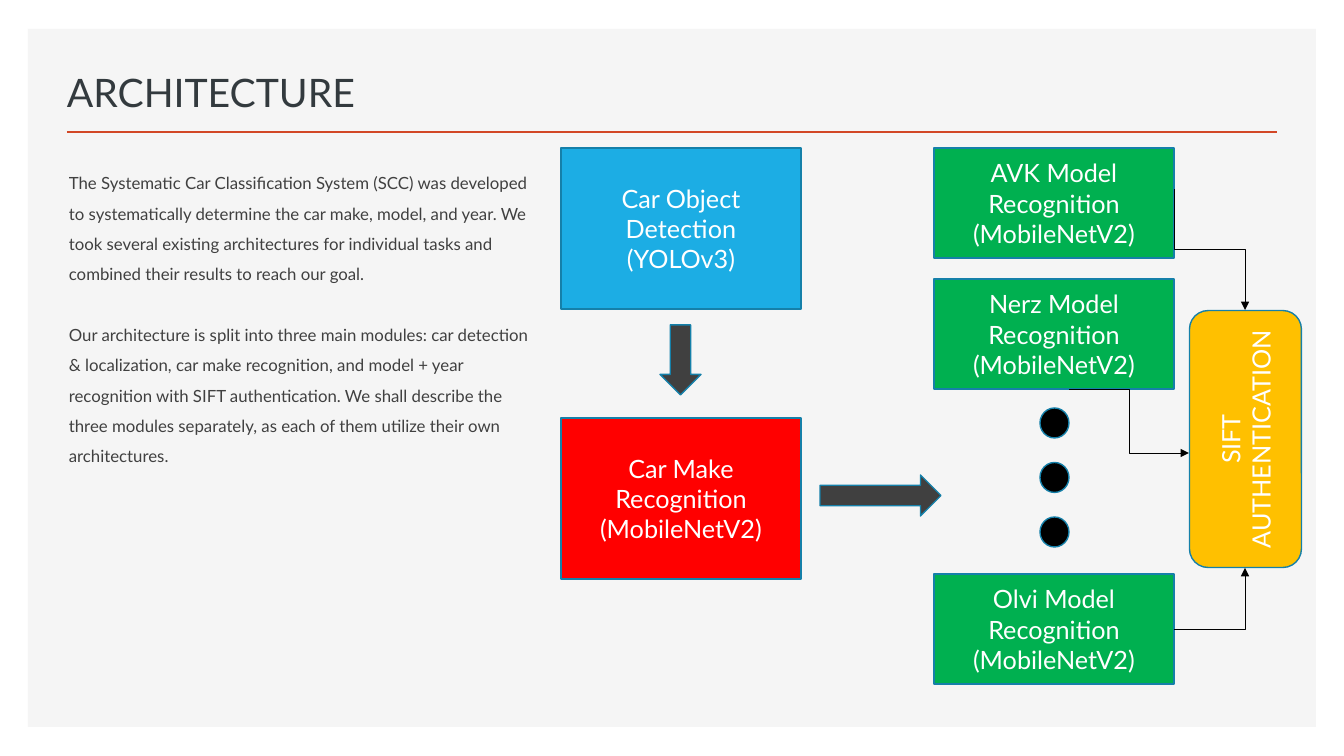
from dataclasses import dataclass
from lxml.etree import SubElement
from pptx import Presentation
from pptx.dml.color import RGBColor
from pptx.enum.shapes import MSO_CONNECTOR, MSO_SHAPE
from pptx.enum.text import MSO_ANCHOR, PP_ALIGN
from pptx.oxml.ns import qn
from pptx.util import Pt

# Content
TITLE = "ARCHITECTURE"
BODY = [
    "The Systematic Car Classification System (SCC) was developed to systematically "
    "determine the car make, model, and year. We took several existing architectures "
    "for individual tasks and combined their results to reach our goal.",
    "Our architecture is split into three main modules: car detection & localization, "
    "car make recognition, and model + year recognition with SIFT authentication. "
    "We shall describe the three modules separately, as each of them utilize their "
    "own architectures.",
]
NET = "(MobileNetV2)"
STEPS = [  # lines, top, fill
    (["Car Object Detection", "(YOLOv3)"], 148, "1CADE4"),
    (["Car Make Recognition", NET], 418, "FF0000"),
]
MODELS = [("AVK", 148), ("Nerz", 279), ("Olvi", 574)]  # make, top
SIFT = ["SIFT", "AUTHENTICATION"]
ARROWS = [(660, 325, 41, 70, 0), (860, 435, 41, 121, 270)]  # box, turn
WIRES = [  # from, to, preset, turned
    ((1174, 189), (1245, 310), "bentConnector3", True),
    ((1069, 389), (1189, 453), "bentConnector3", False),
    ((1174, 629), (1245, 568), "bentConnector2", False),
]


@dataclass(frozen=True)
class Theme:
    font: str = "Lato"
    panel: str = "F5F5F5"
    rule: str = "D24726"
    title: str = "333A3E"
    body: str = "404040"
    edge: str = "1580A9"
    arrow: str = "404040"
    model: str = "00B050"
    sift: str = "FFC000"
    dot: str = "000000"
    wire: str = "000000"
    light: str = "FFFFFF"
    big: int = 28
    label: int = 18
    small: int = 12


T = Theme()
SCALE = 914400 / 100.8


def px(*vals):
    return [round(v * SCALE) for v in vals]


def rgb(code):
    return RGBColor.from_string(code)


def write(frame, lines, size, color, align=PP_ALIGN.LEFT):
    frame.word_wrap = True
    for i, line in enumerate(lines):
        para = frame.paragraphs[0] if i == 0 else frame.add_paragraph()
        para.text = line
        para.alignment = align
        para.font.name = T.font
        para.font.size = Pt(size)
        para.font.color.rgb = rgb(color)


def shape(kind, box, fill, edge=T.edge, lines=(), turn=0):
    item = slide.shapes.add_shape(kind, *px(*box))
    item.shadow.inherit = False
    item.rotation = turn
    item.fill.solid()
    item.fill.fore_color.rgb = rgb(fill)
    if edge:
        item.line.color.rgb = rgb(edge)
        item.line.width = Pt(1)
    else:
        item.line.fill.background()
    item.text_frame.vertical_anchor = MSO_ANCHOR.MIDDLE
    write(item.text_frame, lines, T.label, T.light, PP_ALIGN.CENTER)


def link(kind, ends, color, width):
    item = slide.shapes.add_connector(kind, *px(*ends))
    item.line.color.rgb = rgb(color)
    item.line.width = Pt(width)
    SubElement(item._element.spPr, qn("a:effectLst"))
    return item


def wire(start, end, preset, turned):
    (x1, y1), (x2, y2) = start, end
    ends = (x1, y1, x2, y2)
    if turned:  # swap width and height around the same centre
        mx, my = (x1 + x2) / 2, (y1 + y2) / 2
        dx, dy = (y2 - y1) / 2, (x2 - x1) / 2
        ends = (mx + dx, my - dy, mx - dx, my + dy)
    item = link(MSO_CONNECTOR.ELBOW, ends, T.wire, 0.5)
    props = item._element.spPr
    props.find(qn("a:prstGeom")).set("prst", preset)
    if turned:
        props.find(qn("a:xfrm")).set("rot", str(270 * 60000))
    SubElement(props.find(qn("a:ln")), qn("a:tailEnd"), type="triangle")


def text(box, lines, size, color):
    frame = slide.shapes.add_textbox(*px(*box)).text_frame
    write(frame, lines, size, color)
    return frame


deck = Presentation()
deck.slide_width, deck.slide_height = px(1344, 756)
slide = deck.slides.add_slide(deck.slide_layouts[6])

# Panel, title and rule
shape(MSO_SHAPE.RECTANGLE, (28, 29, 1288, 698), T.panel, None)
link(MSO_CONNECTOR.STRAIGHT, (67, 132, 1277, 132), T.rule, 2)
head = text((57, 49, 758, 71), [TITLE], T.big, T.title)
head.vertical_anchor = MSO_ANCHOR.BOTTOM

# Body text
body = text((59, 158, 487, 438), BODY, T.small, T.body)
for i, para in enumerate(body.paragraphs):
    para.line_spacing = 1.5
    para.space_before = Pt(10 if i else 0)
    para.space_after = Pt(12)

# Flow boxes and block arrows
for lines, top, fill in STEPS:
    shape(MSO_SHAPE.RECTANGLE, (561, top, 240, 161), fill, lines=lines)
for *box, turn in ARROWS:
    shape(MSO_SHAPE.DOWN_ARROW, box, T.arrow, turn=turn)

# Model boxes with dots between
for make, top in MODELS:
    lines = [f"{make} Model Recognition", NET]
    shape(MSO_SHAPE.RECTANGLE, (934, top, 240, 110), T.model, lines=lines)
for i in range(3):
    shape(MSO_SHAPE.OVAL, (1040, 408 + 54.5 * i, 29, 30), T.dot)

# Authentication box and wires
shape(MSO_SHAPE.ROUNDED_RECTANGLE, (1117, 383, 257, 112), T.sift, lines=SIFT, turn=270)
for item in WIRES:
    wire(*item)

deck.save("out.pptx")
